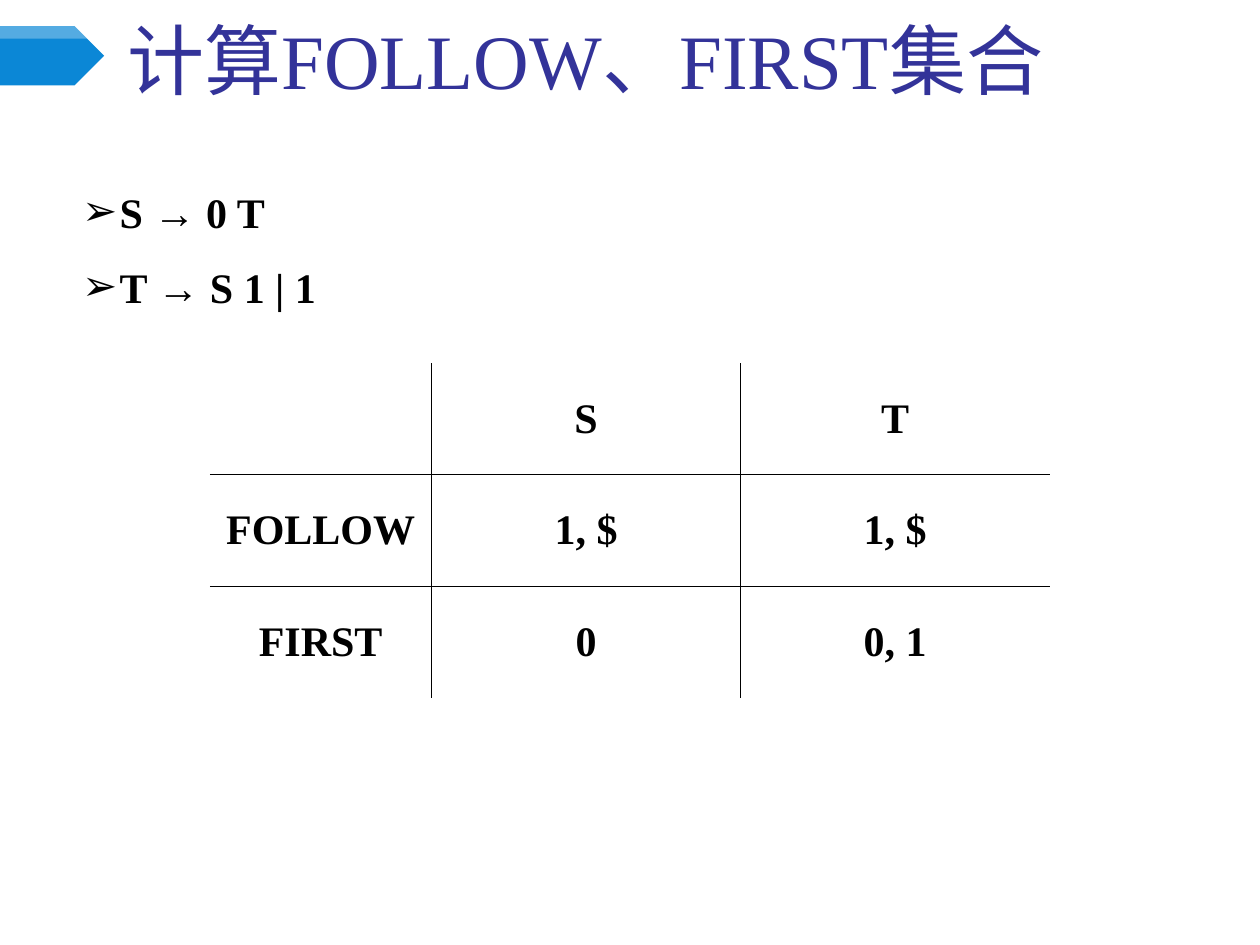
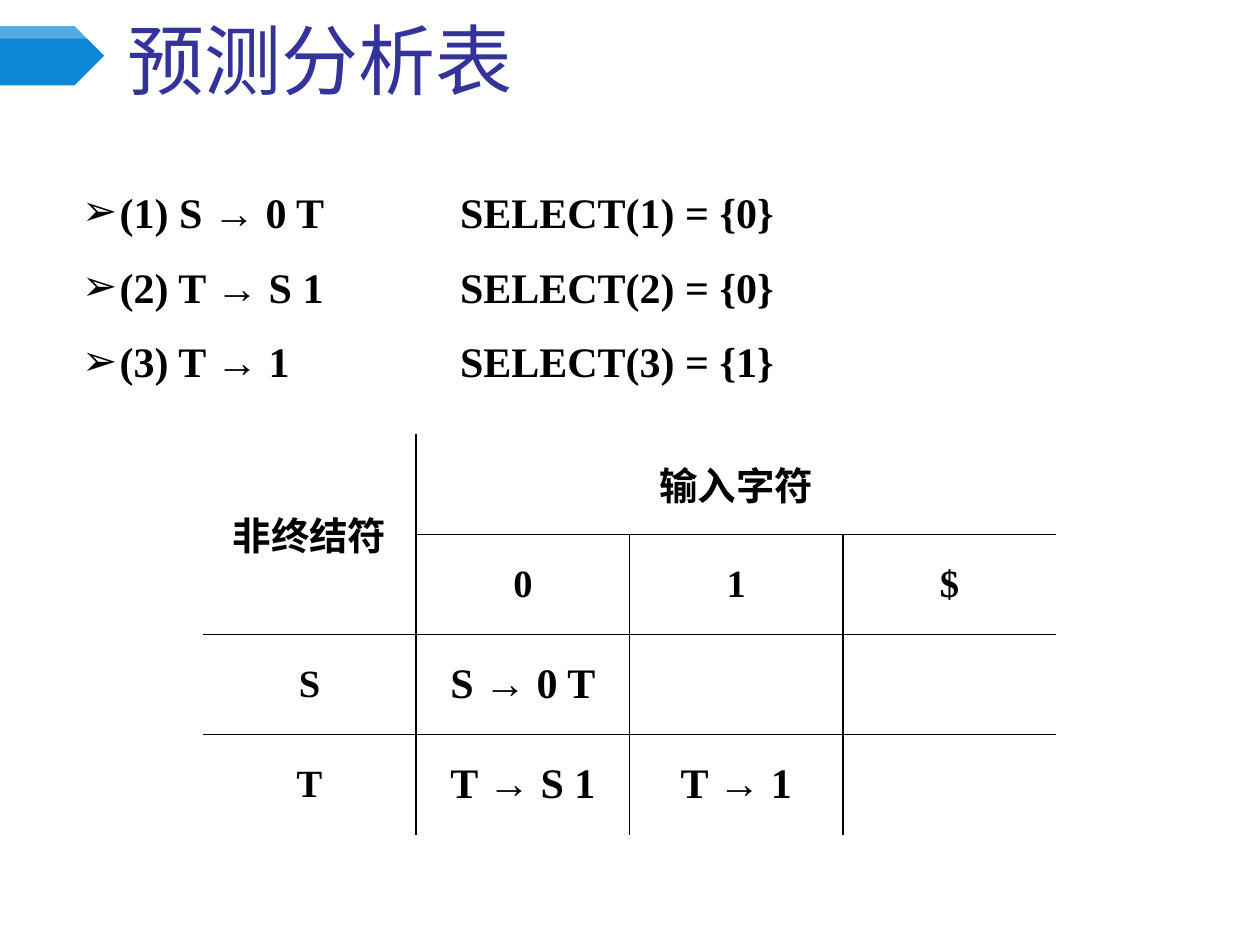
from pptx import Presentation
from pptx.dml.color import RGBColor
from pptx.enum.shapes import MSO_SHAPE
from pptx.enum.text import MSO_ANCHOR, MSO_AUTO_SIZE, PP_ALIGN
from pptx.oxml import parse_xml
from pptx.oxml.ns import nsdecls, qn
from pptx.util import Cm, Pt
from lxml.etree import SubElement

COLORS = {"title": "333399", "text": "000000", "line": "000000",
          "plate": "0B87D6", "shine": "FFFFFF"}
FONT = "Times New Roman"
TITLE_FONT = {"name": FONT, "size": Pt(44), "bold": False}
BODY_FONT = {"name": FONT, "size": Pt(24), "bold": True}
TITLE_BOX = (2.31, 0.46, 22.56, 1.78)
BODY_BOX = (1.4, 3.3, 22.81, 13.56)
PLATE_BOX = (0, 0.53, 2.1, 1.19)
SHINE_HEIGHT = 0.25
INDENT, TAB_STOP = 0.76, 7.62

SLIDES = [
    {
        "title": "计算FOLLOW、FIRST集合",
        "items": ["S → 0 T", "T → S 1 | 1"],
        "table": {
            "at": (4.23, 7.32), "cols": [4.47, 6.23, 6.23], "row": 2.25,
            "size": 24, "spans": {},
            "cells": [["", "S", "T"],
                      ["FOLLOW", "1, $", "1, $"],
                      ["FIRST", "0", "0, 1"]],
        },
    },
    {
        "title": "预测分析表",
        "items": ["(1) S → 0 T\tSELECT(1) = {0}",
                  "(2) T → S 1\tSELECT(2) = {0}",
                  "(3) T → 1\tSELECT(3) = {1}"],
        "table": {
            "at": (4.09, 8.75), "cols": [4.3] * 4, "row": 2.02,
            "size": 22, "spans": {(0, 0): (2, 1), (0, 1): (1, 3)},
            "cells": [["非终结符", "输入字符", "", ""],
                      ["", "0", "1", "$"],
                      ["S", "S → 0 T", "", ""],
                      ["T", "T → S 1", "T → 1", ""]],
        },
    },
]


def rgb(key):
    return RGBColor.from_string(COLORS[key])


def set_attrs(obj, values):
    for name, value in values.items():
        setattr(obj, name, value)


def place(shape, box):
    set_attrs(shape, dict(zip(("left", "top", "width", "height"), map(Cm, box))))


def add_text(p, text, font, color):
    r = p.add_run()
    r.text = text
    set_attrs(r.font, font)
    r.font.color.rgb = rgb(color)


def add_plate(s, master):
    left, top, width, height = PLATE_BOX
    plate = s.shapes.add_shape(MSO_SHAPE.PENTAGON, *map(Cm, PLATE_BOX))
    shoulder = width - height / 2
    builder = s.shapes.build_freeform(Cm(left), Cm(top))
    builder.add_line_segments([
        (Cm(shoulder), Cm(top)),
        (Cm(shoulder + SHINE_HEIGHT), Cm(top + SHINE_HEIGHT)),
        (Cm(left), Cm(top + SHINE_HEIGHT)),
    ])
    shine = builder.convert_to_shape()
    for i, (sp, color) in enumerate(((plate, "plate"), (shine, "shine"))):
        sp.shadow.inherit = False
        sp.fill.solid()
        sp.fill.fore_color.rgb = rgb(color)
        sp.line.fill.background()
        sp.element.xpath(".//p:cNvPr")[0].set("id", str(101 + i))
        master.shapes.element.insert(2 + i, sp.element)
    clr = shine.element.spPr.find(qn("a:solidFill"))[0]
    SubElement(clr, qn("a:alpha")).set("val", "30000")


def add_items(tf, items):
    tf.auto_size = MSO_AUTO_SIZE.NONE
    for i, item in enumerate(items):
        p = tf.paragraphs[0] if i == 0 else tf.add_paragraph()
        pPr = p._p.get_or_add_pPr()
        pPr.set("marL", str(Cm(INDENT)))
        pPr.set("indent", str(-Cm(INDENT)))
        SubElement(pPr, qn("a:buChar")).set("char", "➢")
        if "\t" in item:
            tab = SubElement(SubElement(pPr, qn("a:tabLst")), qn("a:tab"))
            tab.set("pos", str(Cm(TAB_STOP)))
            tab.set("algn", "l")
        set_attrs(p, {"line_spacing": Pt(38), "space_before": Pt(4.8 if i else 0)})
        add_text(p, item, BODY_FONT, "text")


def set_borders(cell, visible):
    tcPr = cell._tc.get_or_add_tcPr()
    for i, (side, shown) in enumerate(visible.items()):
        fill = (f'<a:solidFill><a:srgbClr val="{COLORS["line"]}"/></a:solidFill>'
                if shown else "<a:noFill/>")
        tcPr.insert(i, parse_xml(
            f'<a:ln{side} {nsdecls("a")} w="{Pt(1)}">{fill}</a:ln{side}>'))


def add_grid(s, at, cols, row, size, spans, cells):
    n_rows, n_cols = len(cells), len(cols)
    frame = s.shapes.add_table(n_rows, n_cols, *map(Cm, (*at, sum(cols), row * n_rows)))
    table = frame.table
    for column, width in zip(table.columns, cols):
        column.width = Cm(width)
    for table_row in table.rows:
        table_row.height = Cm(row)

    owner = {(i, j): (i, j) for i in range(n_rows) for j in range(n_cols)}
    for (i, j), (down, across) in spans.items():
        table.cell(i, j).merge(table.cell(i + down - 1, j + across - 1))
        owner.update({(i + di, j + dj): (i, j)
                      for di in range(down) for dj in range(across)})

    for (i, j), own in owner.items():
        cell, text = table.cell(i, j), cells[i][j]
        cell.fill.background()
        cell.vertical_anchor = MSO_ANCHOR.MIDDLE
        neighbours = {"L": (i, j - 1), "R": (i, j + 1),
                      "T": (i - 1, j), "B": (i + 1, j)}
        set_borders(cell, {side: owner.get(pos, own) != own
                           for side, pos in neighbours.items()})
        if text:
            p = cell.text_frame.paragraphs[0]
            p.alignment = PP_ALIGN.CENTER
            font = BODY_FONT | {"size": Pt(24 if "→" in text else size)}
            add_text(p, text, font, "text")


def main():
    prs = Presentation()
    prs.slide_width, prs.slide_height = Cm(25.4), Cm(19.05)
    layout = prs.slide_layouts[1]
    for i, box in enumerate((TITLE_BOX, BODY_BOX)):
        place(layout.placeholders[i], box)

    for content in SLIDES:
        s = prs.slides.add_slide(layout)
        tf = s.shapes.title.text_frame
        set_attrs(tf, {"vertical_anchor": MSO_ANCHOR.BOTTOM,
                       "auto_size": MSO_AUTO_SIZE.NONE})
        p = tf.paragraphs[0]
        p.alignment = PP_ALIGN.LEFT
        add_text(p, content["title"], TITLE_FONT, "title")
        add_items(s.placeholders[1].text_frame, content["items"])
        add_grid(s, **content["table"])

    add_plate(prs.slides[0], prs.slide_master)
    prs.save("out.pptx")


if __name__ == "__main__":
    main()
